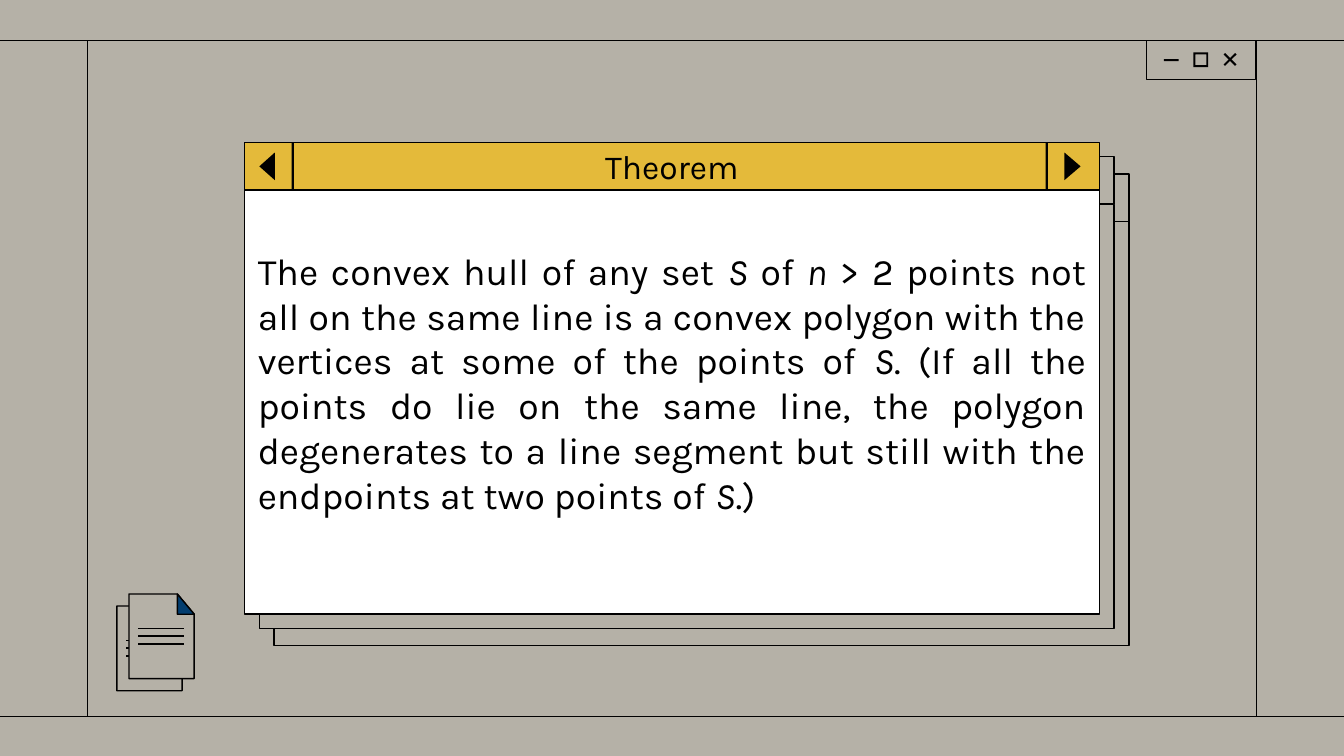
from lxml import etree
from pptx import Presentation
from pptx import util as u
from pptx.dml import color
from pptx.enum import shapes, text
from pptx.oxml import ns

COLORS = {"stone": "B5B1A7", "ink": "000000", "gold": "E4BA3A",
          "paper": "FFFFFF", "navy": "023D6F"}

deck = Presentation()
deck.slide_width = u.Inches(10)
deck.slide_height = u.Inches(5.625)
cell = deck.slide_width // 100
page = deck.slides.add_slide(deck.slide_layouts[6])
page.background.fill.solid()
page.background.fill.fore_color.rgb = color.RGBColor.from_string(COLORS["stone"])


def add_outline(points, fill=None, line=0.75, kind=None):
    corners = [(round(x * cell), round(y * cell)) for x, y in points]
    if kind:
        (left, top), (right, bottom) = corners
        shape = page.shapes.add_shape(kind, left, top, right - left, bottom - top)
    else:
        builder = page.shapes.build_freeform(*corners[0], scale=1.0)
        builder.add_line_segments(corners[1:], close=True)
        shape = builder.convert_to_shape()
    shape.shadow.inherit = False
    if fill:
        shape.fill.solid()
        shape.fill.fore_color.rgb = color.RGBColor.from_string(COLORS[fill])
    else:
        shape.fill.background()
    if line:
        shape.line.width = u.Pt(line)
        shape.line.color.rgb = color.RGBColor.from_string(COLORS["ink"])
    else:
        shape.line.fill.background()
    return shape


def add_rule(x1, y1, x2, y2, width=0.75):
    ends = [round(value * cell) for value in (x1, y1, x2, y2)]
    rule = page.shapes.add_connector(shapes.MSO_CONNECTOR.STRAIGHT, *ends)
    rule.line.width = u.Pt(width)
    rule.line.color.rgb = color.RGBColor.from_string(COLORS["ink"])
    etree.SubElement(rule.element.spPr, ns.qn("a:effectLst"))


RECT = shapes.MSO_SHAPE.RECTANGLE
FRAME = shapes.MSO_SHAPE.FRAME

add_outline([(85.3, 3), (93.4, 5.9)], "stone", kind=RECT)
add_outline([(86.6, 4.4), (87.7, 4.55)], "ink", 0, RECT)
maximize = add_outline([(88.8, 3.9), (89.9, 5)], "ink", 0, FRAME)
maximize.adjustments[0] = 0.13
for start, end in ((4, 4.85), (4.85, 4)):
    add_rule(91.1, start, 91.95, end, 1.1)

for y in (3, 53.3):
    add_rule(-0.3, y, 100.3, y)
for x in (6.5, 93.5):
    add_rule(x, 53.3, x, 3)

left, top = 18.2, 10.6
width, bar_height, body_height = 63.6, 3.55, 31.55
windows = [(2.2, 2.35, None, None), (1.1, 1.05, "stone", "stone"), (0, 0, "paper", "gold")]
for dx, dy, body_fill, bar_fill in windows:
    x, y = left + dx, top + dy
    split = y + bar_height
    add_outline([(x, split), (x + width, split + body_height)], body_fill, kind=RECT)
    title = add_outline([(x, y), (x + width, split)], bar_fill, kind=RECT)

for x in (21.7, 77.8):
    add_outline([(x, top), (x + 0.18, top + bar_height)], "ink", 0, RECT)
for tip, base in ((19.3, 20.45), (80.4, 79.2)):
    add_outline([(base, 11.35), (tip, 12.38), (base, 13.4)], "ink", 0)

body = page.shapes.add_textbox(*[round(value * cell) for value in (left, 15.9, width, 25.1)])
theorem = [
    ("The convex hull of any set ", False), ("S", True), (" of ", False), ("n", True),
    (" > 2 points not all on the same line is a convex polygon with the vertices "
     "at some of the points of ", False), ("S", True),
    (". (If all the points do lie on the same line, the polygon degenerates to a line "
     "segment but still with the endpoints at two points of ", False), ("S", True),
    (".)", False),
]
contents = [
    (title, text.PP_ALIGN.CENTER, 18, [("Theorem", False)]),
    (body, text.PP_ALIGN.JUSTIFY, 20, theorem),
]
for box, alignment, size, spans in contents:
    frame = box.text_frame
    frame.word_wrap = True
    frame.vertical_anchor = text.MSO_ANCHOR.MIDDLE
    frame.margin_left = frame.margin_right = cell
    frame.margin_top = frame.margin_bottom = cell
    para = frame.paragraphs[0]
    para.alignment = alignment
    for words, italic in spans:
        span = para.add_run()
        span.text = words
        span.font.name = "Karla"
        span.font.size = u.Pt(size)
        span.font.italic = italic
        span.font.color.rgb = color.RGBColor.from_string(COLORS["ink"])

for x, y, fold_fill in ((8.7, 45.1, "gold"), (9.6, 44.2, "navy")):
    right, bottom, fold_x, fold_y = x + 4.85, y + 6.3, x + 3.6, y + 1.5
    add_outline([(x, y), (x, bottom), (right, bottom), (right, fold_y), (fold_x, y)], "stone")
    add_outline([(fold_x, y), (fold_x, fold_y), (right, fold_y)], fold_fill)
    for row in range(3):
        line_y = y + 2.55 + row * 0.58
        add_rule(x + 0.7, line_y, x + 4.1, line_y)

deck.save("out.pptx")
